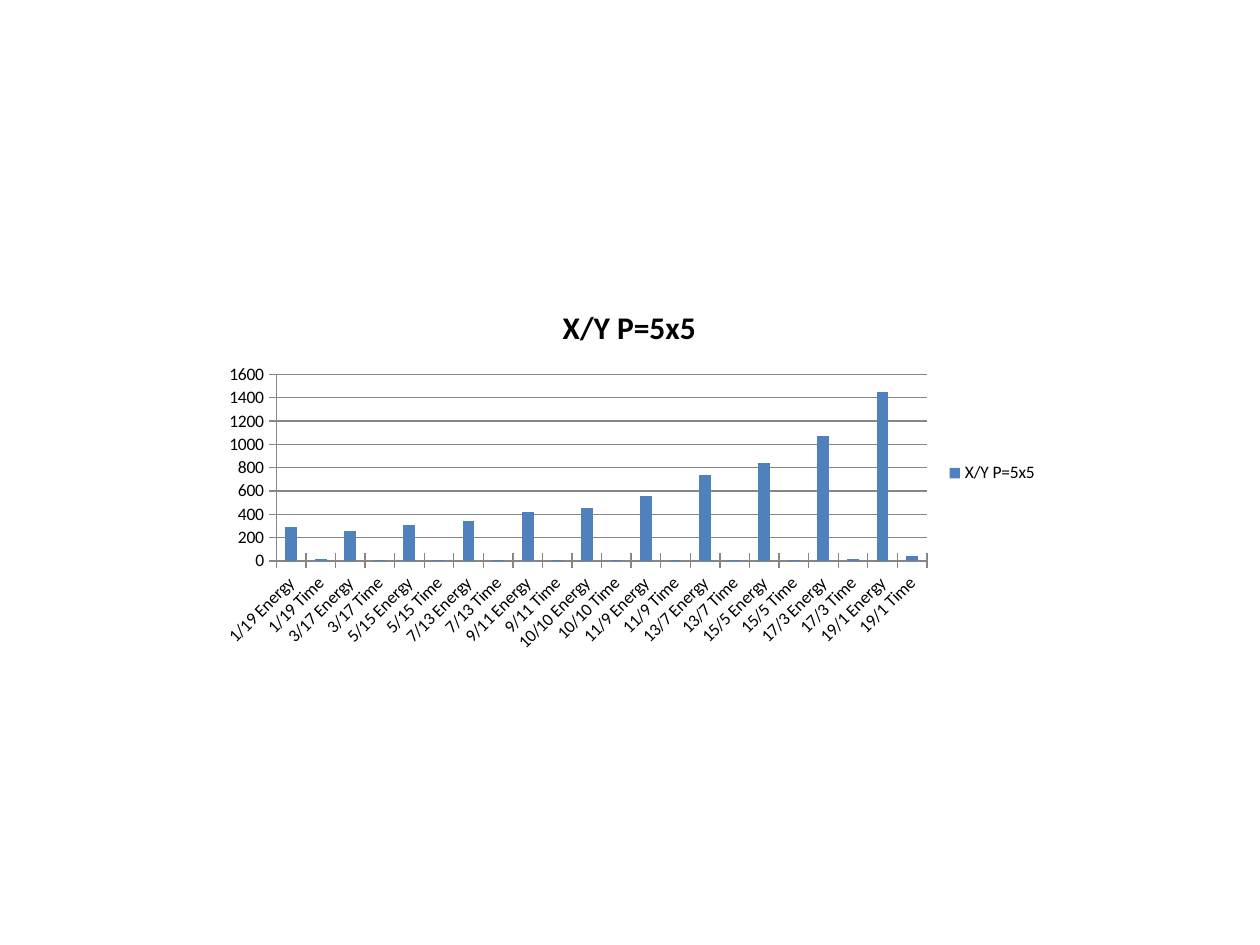
from dataclasses import dataclass

from pptx import Presentation
from pptx.chart.data import CategoryChartData
from pptx.dml.color import RGBColor
from pptx.enum.chart import XL_CHART_TYPE, XL_LEGEND_POSITION, XL_TICK_MARK
from pptx.util import Inches, Pt

COLUMN = XL_CHART_TYPE.COLUMN_CLUSTERED
RIGHT = XL_LEGEND_POSITION.RIGHT
CROSS = XL_TICK_MARK.CROSS


@dataclass(frozen=True)
class Theme:
    """Colours and type sizes of the slide."""
    font: str = "Calibri"
    text: RGBColor = RGBColor(0x00, 0x00, 0x00)
    bar: RGBColor = RGBColor(0x4F, 0x81, 0xBD)
    line: RGBColor = RGBColor(0x86, 0x86, 0x86)
    body: Pt = Pt(10)
    title: Pt = Pt(18)
    hairline: Pt = Pt(0.75)


THEME = Theme()
NAME = "X/Y P=5x5"
RATIOS = ["1/19", "3/17", "5/15", "7/13", "9/11", "10/10",
          "11/9", "13/7", "15/5", "17/3", "19/1"]
ENERGY = [290, 260, 310, 340, 420, 450, 560, 740, 840, 1070, 1450]
TIME = [20, 10, 10, 10, 10, 10, 10, 10, 10, 20, 40]


def apply_format(obj, values):
    """Set each named attribute on the object."""
    for name, value in values.items():
        setattr(obj, name, value)


def style_font(font, size, bold=False):
    """Give a font the theme typeface and colour."""
    apply_format(font, {"name": THEME.font, "size": size, "bold": bold})
    font.color.rgb = THEME.text


def style_line(line):
    """Draw a line as a thin grey rule."""
    line.color.rgb = THEME.line
    line.width = THEME.hairline


def build_data():
    """Interleave energy and time readings for each ratio."""
    data = CategoryChartData()
    data.categories = [f"{ratio} {kind}" for ratio in RATIOS
                       for kind in ("Energy", "Time")]
    data.add_series(NAME, [v for pair in zip(ENERGY, TIME) for v in pair])
    return data


def style_axes(chart):
    """Set ticks, lines, scale and gridlines of both axes."""
    for axis in (chart.category_axis, chart.value_axis):
        axis.major_tick_mark = CROSS
        style_line(axis.format.line)
    apply_format(chart.value_axis, {
        "minimum_scale": 0, "maximum_scale": 1600, "major_unit": 200,
        "has_major_gridlines": True})
    style_line(chart.value_axis.major_gridlines.format.line)


def add_column_chart(slide):
    """Add the titled column chart with its legend."""
    chart = slide.shapes.add_chart(
        COLUMN, Inches(1.65), Inches(2.27), Inches(6.69), Inches(2.97),
        build_data()).chart
    style_font(chart.font, THEME.body)
    apply_format(chart, {"has_title": True, "has_legend": True})
    p = chart.chart_title.text_frame.paragraphs[0]
    r = p.add_run()
    r.text = NAME
    style_font(r.font, THEME.title, bold=True)
    apply_format(chart.legend, {"position": RIGHT, "include_in_layout": False})
    style_axes(chart)
    plot = chart.plots[0]
    apply_format(plot, {"vary_by_categories": False, "gap_width": 150})
    fill = plot.series[0].format.fill
    fill.solid()
    fill.fore_color.rgb = THEME.bar


def main():
    """Build the slide and save it."""
    prs = Presentation()
    apply_format(prs, {"slide_width": Inches(10), "slide_height": Inches(7.5)})
    slide = prs.slides.add_slide(prs.slide_layouts[6])
    add_column_chart(slide)
    prs.save("out.pptx")


if __name__ == "__main__":
    main()
